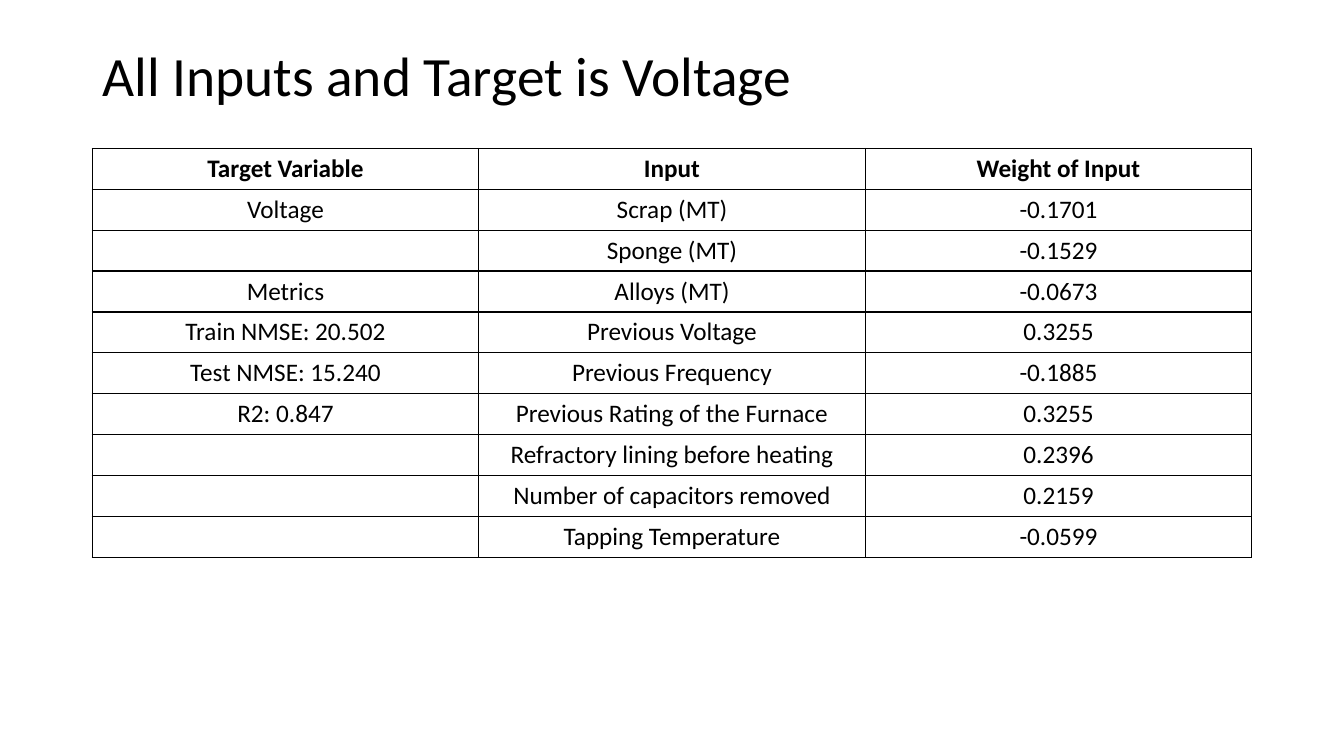
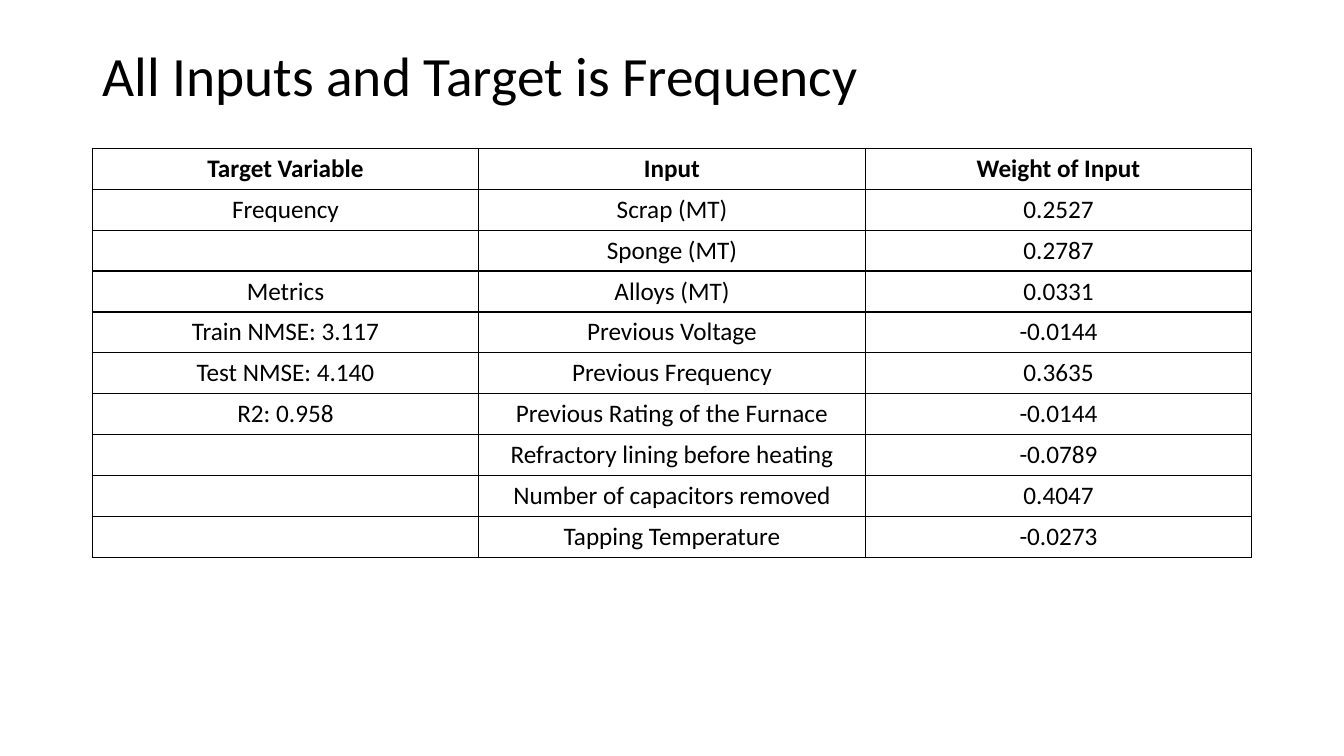
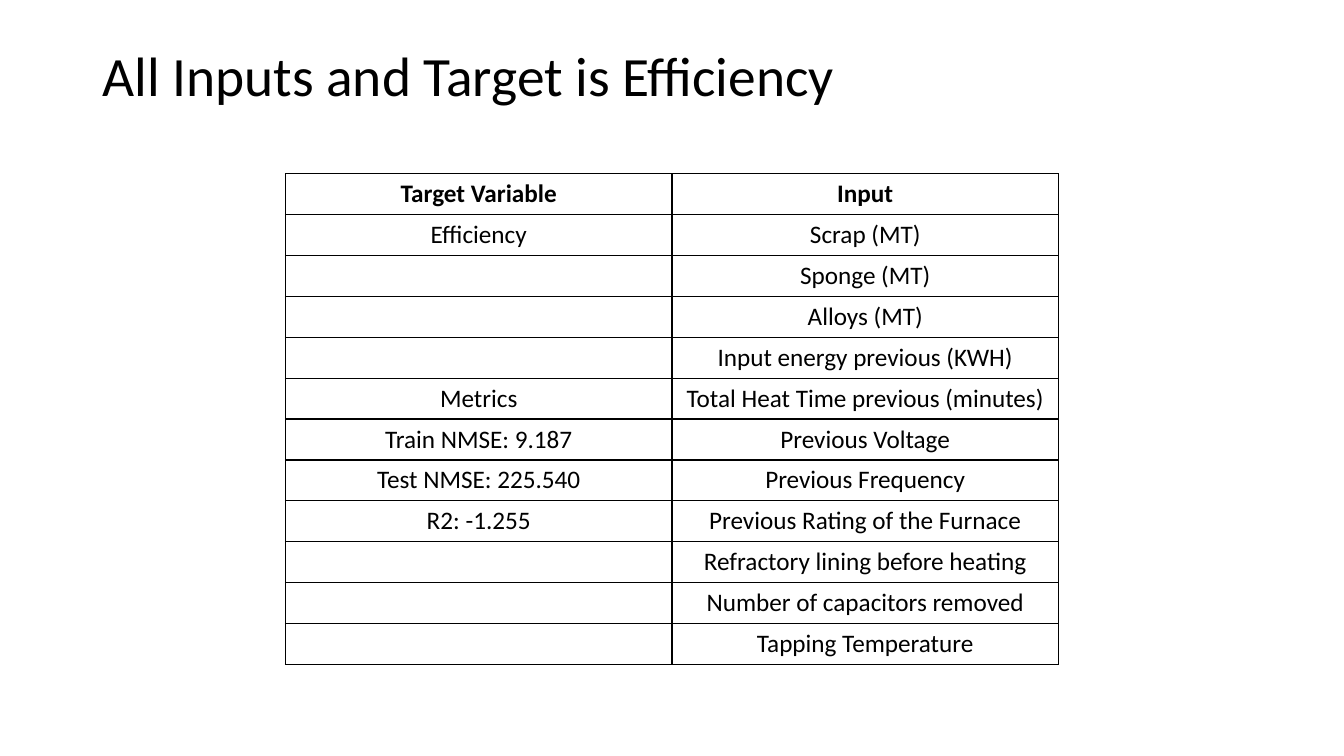
from itertools import zip_longest

from lxml.etree import SubElement
from pptx import Presentation
from pptx.dml.color import RGBColor
from pptx.enum.text import MSO_ANCHOR, MSO_AUTO_SIZE, PP_ALIGN
from pptx.oxml.ns import qn
from pptx.util import Cm, Pt

COLORS = {"text": "000000", "border": "000000", "cell": "FFFFFF"}
FONT = "Calibri"
TITLE_SIZE = Pt(39.6)
TABLE_SIZE = Pt(18)
SLIDE_WIDTH, SLIDE_HEIGHT = Cm(33.87), Cm(19.05)
TITLE_BOX = Cm(2.33), Cm(1.02), Cm(29.21), Cm(1.9)
COLUMN_WIDTH, ROW_HEIGHT = Cm(9.74), Cm(1.03)

HEADINGS = ["Target Variable", "Input", "Weight of Input"]
MATERIALS = ["Scrap (MT)", "Sponge (MT)", "Alloys (MT)"]
PREVIOUS_HEAT = ["Input energy previous (KWH)", "Total Heat Time previous (minutes)"]
FURNACE = [
    "Previous Voltage",
    "Previous Frequency",
    "Previous Rating of the Furnace",
    "Refractory lining before heating",
    "Number of capacitors removed",
    "Tapping Temperature",
]

MODELS = [
    {
        "target": "Voltage",
        "scores": ("20.502", "15.240", "0.847"),
        "blank_rows": 1,
        "inputs": MATERIALS + FURNACE,
        "weights": ["-0.1701", "-0.1529", "-0.0673", "0.3255", "-0.1885",
                    "0.3255", "0.2396", "0.2159", "-0.0599"],
        "top": Cm(3.74),
    },
    {
        "target": "Frequency",
        "scores": ("3.117", "4.140", "0.958"),
        "blank_rows": 1,
        "inputs": MATERIALS + FURNACE,
        "weights": ["0.2527", "0.2787", "0.0331", "-0.0144", "0.3635",
                    "-0.0144", "-0.0789", "0.4047", "-0.0273"],
        "top": Cm(3.74),
    },
    {
        "target": "Efficiency",
        "scores": ("9.187", "225.540", "-1.255"),
        "blank_rows": 3,
        "inputs": MATERIALS + PREVIOUS_HEAT + FURNACE,
        "weights": [],
        "top": Cm(4.38),
    },
]


def add_run(paragraph, text, size, bold=False):
    run = paragraph.add_run()
    run.text = text
    run.font.name = FONT
    run.font.size = size
    run.font.bold = bold
    run.font.color.rgb = RGBColor.from_string(COLORS["text"])


def place_title(shape, text, box):
    shape.left, shape.top, shape.width, shape.height = box
    frame = shape.text_frame
    frame.auto_size = MSO_AUTO_SIZE.NONE
    frame.word_wrap = True
    frame.vertical_anchor = MSO_ANCHOR.MIDDLE
    paragraph = frame.paragraphs[0]
    paragraph.alignment = PP_ALIGN.LEFT
    paragraph.line_spacing = 0.9
    add_run(paragraph, text, TITLE_SIZE)


def add_borders(cell):
    properties = cell._tc.get_or_add_tcPr()
    for side in ("a:lnL", "a:lnR", "a:lnT", "a:lnB"):
        line = SubElement(properties, qn(side), w=str(Pt(1)))
        fill = SubElement(line, qn("a:solidFill"))
        SubElement(fill, qn("a:srgbClr"), val=COLORS["border"])


def format_cell(cell, text, bold):
    add_borders(cell)
    cell.fill.solid()
    cell.fill.fore_color.rgb = RGBColor.from_string(COLORS["cell"])
    paragraph = cell.text_frame.paragraphs[0]
    paragraph.alignment = PP_ALIGN.CENTER
    if text:
        add_run(paragraph, text, TABLE_SIZE, bold)


def table_rows(model):
    """Return the heading row and the body rows, with "" for an empty cell."""
    train, test, r2 = model["scores"]
    target_column = [model["target"], *[""] * model["blank_rows"], "Metrics",
                     f"Train NMSE: {train}", f"Test NMSE: {test}", f"R2: {r2}"]
    columns = [target_column, model["inputs"]]
    if model["weights"]:
        columns.append(model["weights"])
    return [HEADINGS[:len(columns)], *zip_longest(*columns, fillvalue="")]


def add_centred_table(slide, rows, top):
    column_count = len(rows[0])
    width = COLUMN_WIDTH * column_count
    left = (SLIDE_WIDTH - width) // 2
    table = slide.shapes.add_table(
        len(rows), column_count, left, top, width, ROW_HEIGHT * len(rows)).table
    table.first_row = False
    table.horz_banding = False
    for column in table.columns:
        column.width = COLUMN_WIDTH
    for row_index, texts in enumerate(rows):
        table.rows[row_index].height = ROW_HEIGHT
        for column_index, text in enumerate(texts):
            format_cell(table.cell(row_index, column_index), text, row_index == 0)


def add_model_slide(presentation, model):
    slide = presentation.slides.add_slide(presentation.slide_layouts[5])
    place_title(slide.shapes.title,
                f"All Inputs and Target is {model['target']}", TITLE_BOX)
    add_centred_table(slide, table_rows(model), model["top"])


def main():
    presentation = Presentation()
    presentation.slide_width = SLIDE_WIDTH
    presentation.slide_height = SLIDE_HEIGHT
    for model in MODELS:
        add_model_slide(presentation, model)
    presentation.save("out.pptx")


if __name__ == "__main__":
    main()
